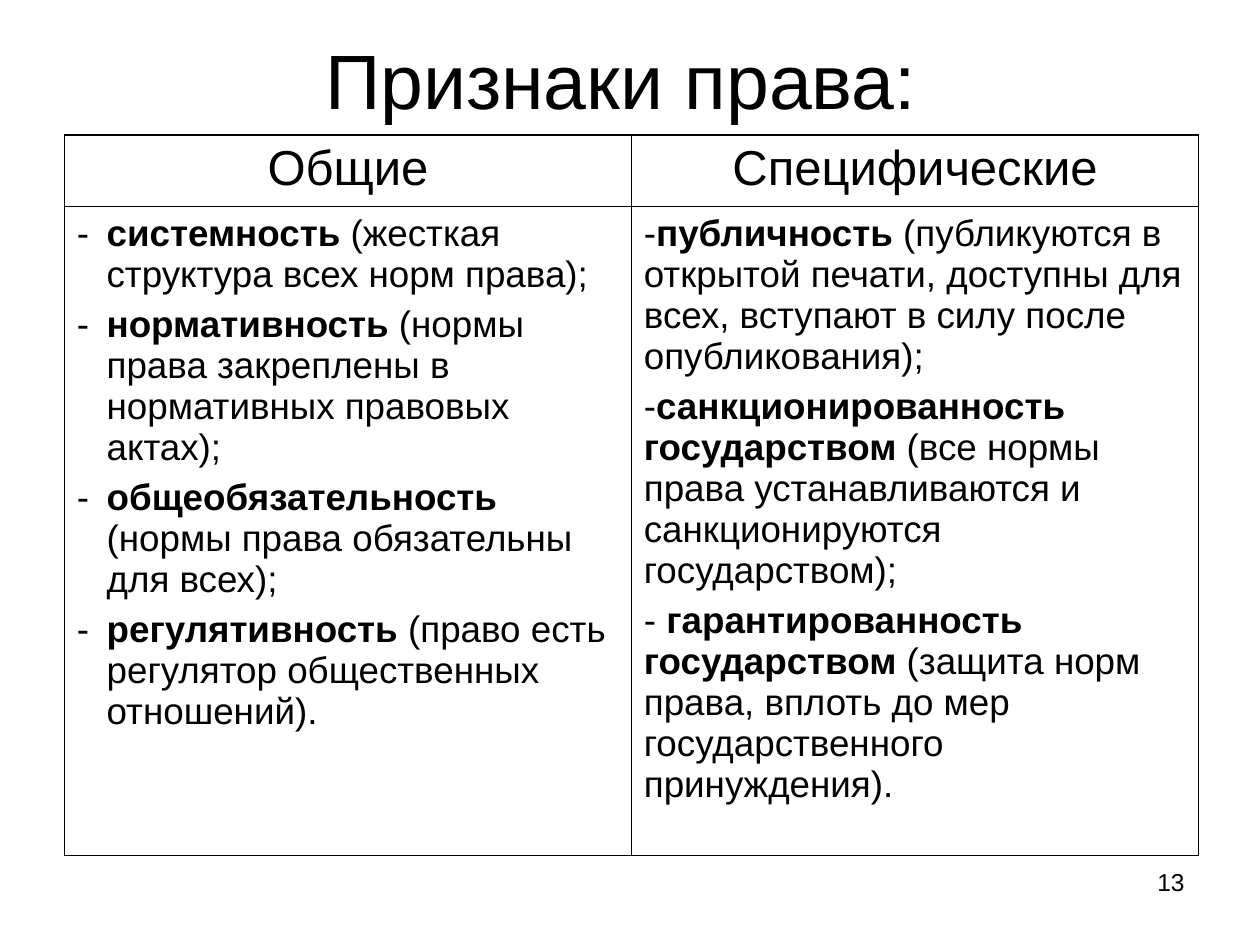
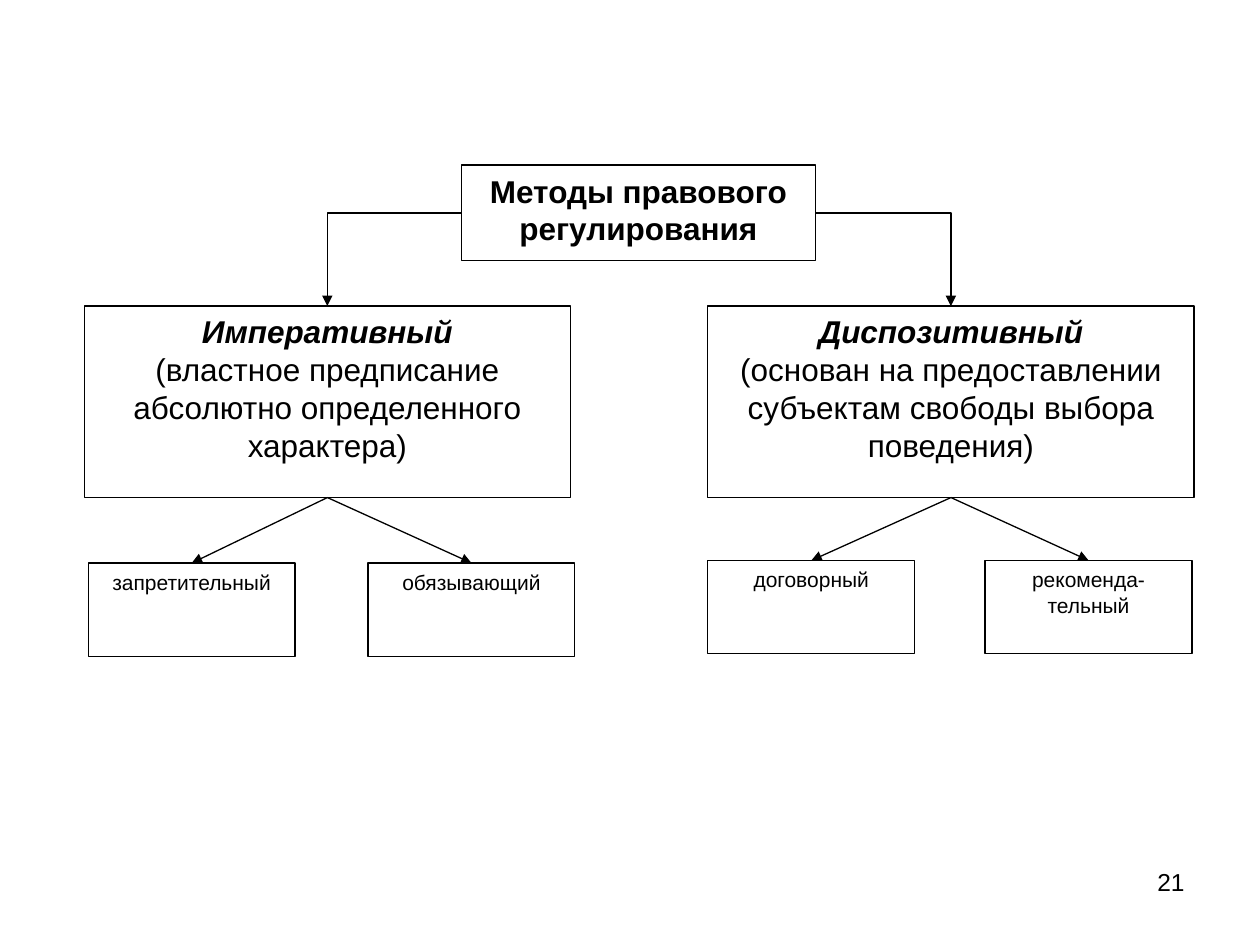
from lxml.etree import SubElement
from pptx import Presentation
from pptx.dml.color import RGBColor
from pptx.enum.shapes import MSO_CONNECTOR, MSO_SHAPE
from pptx.enum.text import MSO_ANCHOR, PP_ALIGN
from pptx.oxml.ns import qn
from pptx.util import Cm, Pt

FONT = "Arial"
HUE = {"ink": "000000", "paper": "FFFFFF"}
THICK, THIN = 1.08, 0.45

COMMON = [
    ("", "системность", " (жесткая структура всех норм права);"),
    ("", "нормативность", " (нормы права закреплены в нормативных правовых актах);"),
    ("", "общеобязательность", " (нормы права обязательны для всех);"),
    ("", "регулятивность", " (право есть регулятор общественных отношений)."),
]
SPECIAL = [
    ("-", "публичность", " (публикуются в открытой печати, доступны для всех, "
     "вступают в силу после опубликования);"),
    ("-", "санкционированность государством",
     " (все нормы права устанавливаются и санкционируются государством);"),
    ("- ", "гарантированность государством",
     " (защита норм права, вплоть до мер государственного принуждения)."),
]


def tint(name):
    return RGBColor.from_string(HUE[name])


def style(run, size, bold=False, slant=False):
    font = run.font
    font.name, font.size = FONT, Pt(size)
    font.bold, font.italic = bold, slant
    font.color.rgb = tint("ink")


def inset(item, side=0.25, edge=0.13):
    item.margin_left = item.margin_right = Cm(side)
    item.margin_top = item.margin_bottom = Cm(edge)


def label(slide, box, text, size, align, anchor=MSO_ANCHOR.TOP, pad=True):
    frame = slide.shapes.add_textbox(*map(Cm, box)).text_frame
    frame.word_wrap = True
    frame.vertical_anchor = anchor
    inset(frame) if pad else inset(frame, 0, 0)
    para = frame.paragraphs[0]
    para.text, para.alignment = text, align
    style(para.runs[0], size)


def start(deck, number):
    """Add a blank slide with its page number."""
    slide = deck.slides.add_slide(deck.slide_layouts[6])
    label(slide, (18.21, 17.35, 5.92, 1.32), str(number), 14, PP_ALIGN.RIGHT)
    return slide


def border(cell, row, col):
    """Rule a cell of the 2 by 2 table: thick outside, thin inside."""
    props = cell._tc.get_or_add_tcPr()
    outer = {"L": col == 0, "R": col == 1, "T": row == 0, "B": row == 1}
    for pos, (side, edge) in enumerate(outer.items()):
        line = props.makeelement(qn(f"a:ln{side}"),
                                 {"w": str(Pt(THICK if edge else THIN))})
        fill = SubElement(line, qn("a:solidFill"))
        SubElement(fill, qn("a:srgbClr"), val=HUE["ink"])
        props.insert(pos, line)


def dash(para):
    props = para._p.get_or_add_pPr()
    props.set("marL", str(Cm(0.6)))
    props.set("indent", str(-Cm(0.6)))
    color = SubElement(props, qn("a:buClr"))
    SubElement(color, qn("a:srgbClr"), val=HUE["ink"])
    SubElement(props, qn("a:buFont"), typeface=FONT)
    SubElement(props, qn("a:buChar"), char="-")


def fill_list(frame, items, dashed):
    for pos, (lead, term, note) in enumerate(items):
        para = frame.add_paragraph() if pos else frame.paragraphs[0]
        if pos:
            para.space_before = Pt(5.2)
        if dashed:
            dash(para)
        for text, bold in ((lead, False), (term, True), (note, False)):
            if text:
                run = para.add_run()
                run.text = text
                style(run, 21, bold)


def traits(slide, box):
    table = slide.shapes.add_table(2, 2, *map(Cm, box)).table
    table.first_row = table.horz_banding = False
    head = 1.44
    table.rows[0].height, table.rows[1].height = Cm(head), Cm(box[3] - head)
    columns = (("Общие", COMMON, True), ("Специфические", SPECIAL, False))
    for col, (name, items, dashed) in enumerate(columns):
        table.columns[col].width = Cm(box[2] / 2)
        for row in range(2):
            cell = table.cell(row, col)
            cell.fill.solid()
            cell.fill.fore_color.rgb = tint("paper")
            inset(cell)
            border(cell, row, col)
        para = table.cell(0, col).text_frame.paragraphs[0]
        para.text, para.alignment = name, PP_ALIGN.CENTER
        style(para.runs[0], 28)
        fill_list(table.cell(1, col).text_frame, items, dashed)


def node(slide, box, lines, size, bold=False, slant=False):
    """Draw a framed box; bold and slant apply to its first line."""
    shape = slide.shapes.add_shape(MSO_SHAPE.RECTANGLE, *map(Cm, box))
    shape.shadow.inherit = False
    shape.fill.solid()
    shape.fill.fore_color.rgb = tint("paper")
    shape.line.color.rgb = tint("ink")
    shape.line.width = Pt(0.75)
    frame = shape.text_frame
    frame.word_wrap = True
    frame.vertical_anchor = MSO_ANCHOR.TOP
    inset(frame)
    frame.text = "\n".join(lines)
    for pos, para in enumerate(frame.paragraphs):
        para.alignment = PP_ALIGN.CENTER
        style(para.runs[0], size, bold and pos == 0, slant and pos == 0)
    return shape


def arrow(slide, tail, side, tip, bent=False):
    """Lead from a side of one box to the top of another."""
    kind = MSO_CONNECTOR.ELBOW if bent else MSO_CONNECTOR.STRAIGHT
    link = slide.shapes.add_connector(kind, 0, 0, 0, 0)
    link.begin_connect(tail, side)
    link.end_connect(tip, 0)
    link.line.color.rgb = tint("ink")
    link.line.width = Pt(0.75)
    props = link._element.spPr
    if bent:
        props.find(qn("a:prstGeom")).set("prst", "bentConnector2")
    SubElement(link.line._get_or_add_ln(), qn("a:tailEnd"), type="triangle")
    SubElement(props, qn("a:effectLst"))


def branch(slide, box, root, side, lines, leaves, shifts, drop):
    """Draw a method, its arrow from the root and its kinds below."""
    left, top, _, high = box
    main = node(slide, box, lines, 18, True, True)
    arrow(slide, root, side, main, bent=True)
    for text, shift in zip(leaves, shifts):
        spot = (left + shift, top + high + drop, 4.17, 1.88)
        arrow(slide, main, 2, node(slide, spot, [text], 12))


def signs(deck):
    slide = start(deck, 13)
    label(slide, (1.09, 0.53, 22.86, 2.13), "Признаки права:", 44,
          PP_ALIGN.CENTER, MSO_ANCHOR.MIDDLE, pad=False)
    traits(slide, (1.3, 2.72, 22.86, 14.52))


def methods(deck):
    slide = start(deck, 21)
    root = node(slide, (9.3, 3.33, 7.14, 1.93),
                ["Методы правового регулирования"], 18, True)
    branch(slide, (1.7, 6.17, 9.8, 3.86), root, 1,
           ["Императивный",
            "(властное предписание абсолютно определенного характера)"],
           ["запретительный", "обязывающий"], (0.08, 5.72), 1.32)
    branch(slide, (14.27, 6.17, 9.8, 3.86), root, 3,
           ["Диспозитивный",
            "(основан на предоставлении субъектам свободы выбора поведения)"],
           ["договорный", "рекоменда-тельный"], (0, 5.59), 1.27)


def main():
    deck = Presentation()
    deck.slide_width, deck.slide_height = Cm(25.4), Cm(19.05)
    signs(deck)
    methods(deck)
    deck.save("out.pptx")


if __name__ == "__main__":
    main()
